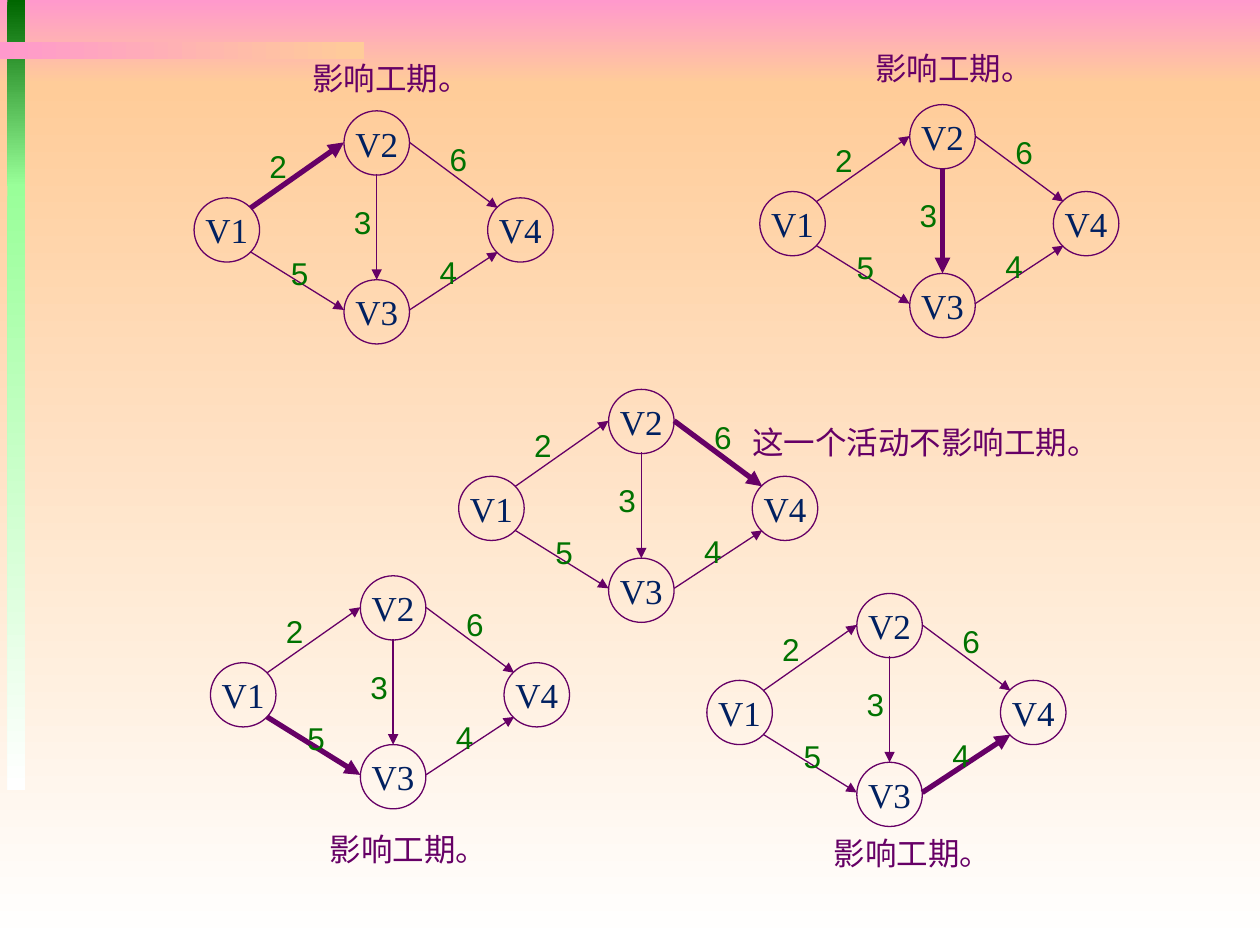
from dataclasses import dataclass

from lxml import etree
from pptx import Presentation
from pptx.dml.color import RGBColor
from pptx.enum.shapes import MSO_CONNECTOR, MSO_SHAPE
from pptx.enum.text import MSO_ANCHOR, MSO_AUTO_SIZE, PP_ALIGN
from pptx.oxml.ns import qn
from pptx.util import Inches, Pt

RECTANGLE = MSO_SHAPE.RECTANGLE
OVAL = MSO_SHAPE.OVAL
STRAIGHT = MSO_CONNECTOR.STRAIGHT
MIDDLE = MSO_ANCHOR.MIDDLE
FIT_SHAPE = MSO_AUTO_SIZE.SHAPE_TO_FIT_TEXT
CENTER = PP_ALIGN.CENTER
LEFT = PP_ALIGN.LEFT
RIGHTWARD, DOWNWARD = 0, 270


@dataclass(frozen=True)
class Theme:
    """Colours, fonts and sizes of the slide."""

    pink: str = "FF99CC"
    peach: str = "FFCC99"
    white: str = "FFFFFF"
    dark_green: str = "006600"
    light_green: str = "99FF99"
    purple: str = "660066"
    navy: str = "002060"
    weight_green: str = "007200"
    node_font: str = "Times New Roman"
    text_font: str = "Arial"
    node_size: int = 20
    text_size: int = 18
    thin: float = 0.75
    thick: float = 3


THEME = Theme()

BANDS = [
    (0, 0, 10, 0.67, THEME.pink, THEME.peach, DOWNWARD),
    (0, 0.67, 10, 6.83, THEME.peach, THEME.white, DOWNWARD),
    (0.06, 0, 0.14, 1.48, THEME.dark_green, THEME.light_green, DOWNWARD),
    (0.06, 1.46, 0.14, 4.81, THEME.light_green, THEME.white, DOWNWARD),
    (0, 0.33, 2.89, 0.14, THEME.pink, THEME.peach, RIGHTWARD),
]

NODES = {"V1": (0, 0.69), "V2": (1.19, 0), "V3": (1.19, 1.34), "V4": (2.33, 0.69)}

ACTIVITIES = {
    "2": ((0.45, 0.77), (1.19, 0.25), (0.5, 0.24)),
    "5": ((0.45, 1.12), (1.19, 1.58), (0.67, 1.09)),
    "6": ((1.71, 0.25), (2.41, 0.77), (1.93, 0.18)),
    "4": ((1.71, 1.58), (2.41, 1.12), (1.85, 1.08)),
    "3": ((1.45, 0.5), (1.45, 1.34), (1.17, 0.68)),
}

NETWORKS = [
    (1.54, 0.88, "2"),
    (6.03, 0.83, "3"),
    (1.67, 4.57, "5"),
    (5.61, 4.71, "4"),
    (3.64, 3.09, "6"),
]

AFFECTS = "影响工期。"
CAPTIONS = [
    (5.87, 3.31, 2.98, "这一个活动不影响工期。"),
    (2.38, 0.42, 1.46, AFFECTS),
    (6.85, 0.34, 1.46, AFFECTS),
    (2.52, 6.54, 1.46, AFFECTS),
    (6.52, 6.57, 1.46, AFFECTS),
]

NODE_FRAME = {
    "margin_left": 0,
    "margin_top": 0,
    "margin_right": 0,
    "margin_bottom": 0,
    "vertical_anchor": MIDDLE,
    "word_wrap": True,
}


def color(value):
    """Turn a hex value into a colour."""
    return RGBColor.from_string(value)


def write_text(shape, text, frame_format, name, size, font_color, alignment):
    """Write one formatted paragraph into a shape."""
    frame = shape.text_frame
    for attribute, value in frame_format.items():
        setattr(frame, attribute, value)
    paragraph = frame.paragraphs[0]
    paragraph.alignment = alignment
    run = paragraph.add_run()
    run.text = text
    for attribute, value in {"name": name, "size": Pt(size)}.items():
        setattr(run.font, attribute, value)
    run.font.color.rgb = color(font_color)


def add_band(slide, left, top, width, height, start, end, angle):
    """Add a borderless rectangle with a two-colour gradient."""
    shape = slide.shapes.add_shape(
        RECTANGLE, Inches(left), Inches(top), Inches(width), Inches(height)
    )
    shape.shadow.inherit = False
    shape.line.fill.background()
    shape.fill.gradient()
    shape.fill.gradient_angle = angle
    for stop, value in zip(shape.fill.gradient_stops, (start, end)):
        stop.color.rgb = color(value)


def add_node(slide, left, top, name):
    """Add an outlined event circle with its name."""
    shape = slide.shapes.add_shape(
        OVAL, Inches(left), Inches(top), Inches(0.52), Inches(0.51)
    )
    shape.shadow.inherit = False
    shape.fill.background()
    shape.line.color.rgb = color(THEME.purple)
    shape.line.width = Pt(THEME.thin)
    write_text(
        shape, name, NODE_FRAME, THEME.node_font, THEME.node_size, THEME.navy, CENTER
    )


def add_arrow(slide, start, end, width):
    """Add a straight arrow between two points."""
    points = [Inches(value) for value in (*start, *end)]
    arrow = slide.shapes.add_connector(STRAIGHT, *points)
    arrow.line.color.rgb = color(THEME.purple)
    arrow.line.width = Pt(width)
    etree.SubElement(arrow.line._get_or_add_ln(), qn("a:tailEnd"), type="triangle")
    etree.SubElement(arrow._element.spPr, qn("a:effectLst"))


def add_label(slide, left, top, width, text, font_color, wrap):
    """Add a line of plain text."""
    box = slide.shapes.add_textbox(
        Inches(left), Inches(top), Inches(width), Inches(0.4)
    )
    frame_format = {"word_wrap": wrap, "auto_size": FIT_SHAPE}
    write_text(
        box, text, frame_format, THEME.text_font, THEME.text_size, font_color, LEFT
    )


def add_network(slide, left, top, highlighted):
    """Add an activity network with one activity drawn thick."""

    def place(point):
        """Move a point from network to slide coordinates."""
        return left + point[0], top + point[1]

    for name, corner in NODES.items():
        add_node(slide, *place(corner), name)
    for weight, (start, end, _) in ACTIVITIES.items():
        width = THEME.thick if weight == highlighted else THEME.thin
        add_arrow(slide, place(start), place(end), width)
    for weight, (_, _, corner) in ACTIVITIES.items():
        add_label(slide, *place(corner), 0.49, weight, THEME.weight_green, True)


def main():
    """Build the slide and save it."""
    presentation = Presentation()
    presentation.slide_width = Inches(10)
    presentation.slide_height = Inches(7.5)
    slide = presentation.slides.add_slide(presentation.slide_layouts[6])
    for band in BANDS:
        add_band(slide, *band)
    for network in NETWORKS:
        add_network(slide, *network)
    for caption in CAPTIONS:
        add_label(slide, *caption, THEME.purple, False)
    presentation.save("out.pptx")


if __name__ == "__main__":
    main()
